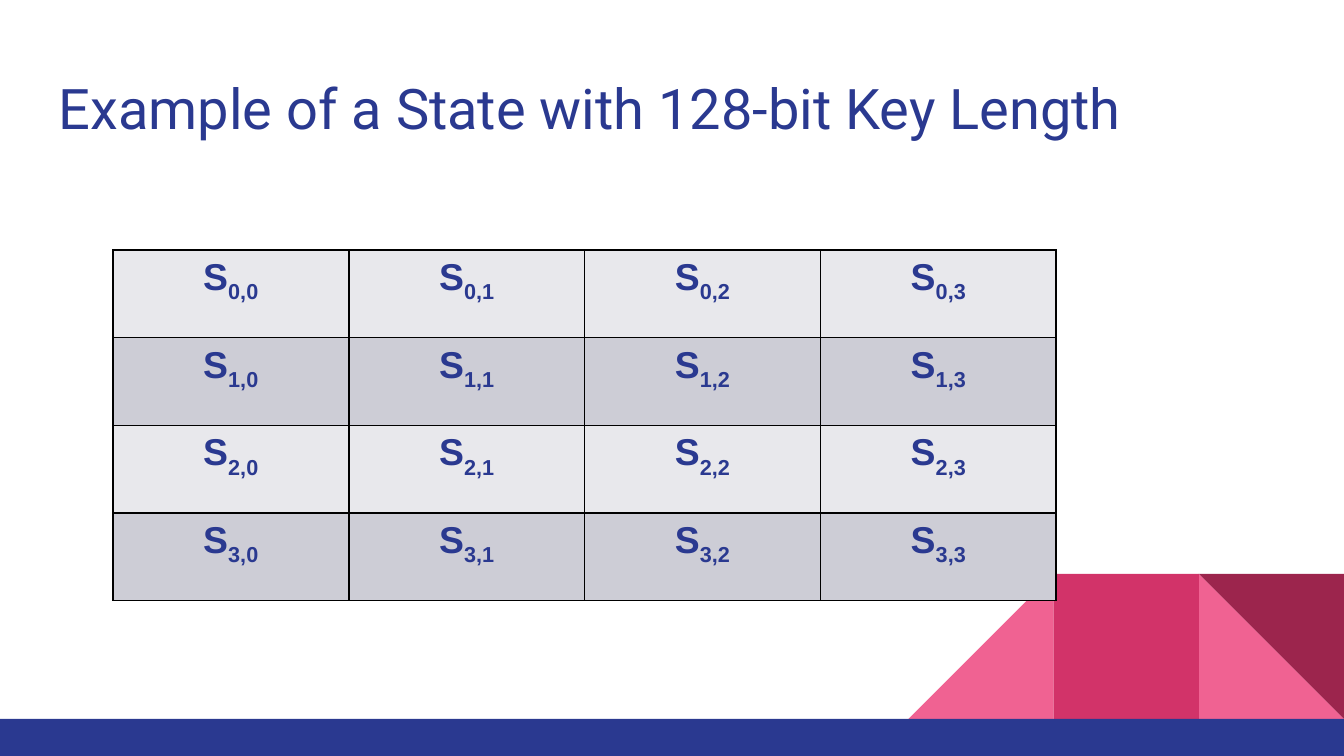
from dataclasses import dataclass

from lxml.etree import SubElement
from pptx import Presentation
from pptx.dml.color import RGBColor
from pptx.enum.shapes import MSO_SHAPE
from pptx.enum.text import PP_ALIGN
from pptx.oxml.ns import qn
from pptx.util import Inches, Pt


@dataclass(frozen=True)
class Theme:
    navy: str = "2A3990"
    pink: str = "F06292"
    rose: str = "D23369"
    wine: str = "9C254D"
    border: str = "000000"
    bands: tuple = ("E8E8EC", "CDCDD6")
    title_font: str = "Roboto"
    table_font: str = "Arial"
    title_size: int = 30
    table_size: int = 20


THEME = Theme()
WIDTH = Inches(10)
HEIGHT = WIDTH * 9 // 16
TILE = Inches(1.08)
GRID = 4


def add_block(s, kind, box, color, rotation=0, flip=False):
    sp = s.shapes.add_shape(kind, *box)
    sp.shadow.inherit = False
    sp.fill.solid()
    sp.fill.fore_color.rgb = RGBColor.from_string(color)
    sp.line.fill.background()
    sp.rotation = rotation
    if flip:
        sp._element.spPr.find(qn("a:xfrm")).set("flipH", "1")


def add_run(p, text, font, size, bold=False, baseline=0):
    r = p.add_run()
    r.text = text
    r.font.name = font
    r.font.size = Pt(size)
    r.font.bold = bold
    r.font.color.rgb = RGBColor.from_string(THEME.navy)
    if baseline:
        r.font._element.set("baseline", str(baseline * 1000))


def add_decoration(s):
    floor = int(HEIGHT * 0.951)
    tiles = [
        (1, MSO_SHAPE.RIGHT_TRIANGLE, THEME.pink, 0, False),
        (3, MSO_SHAPE.RIGHT_TRIANGLE, THEME.pink, 0, True),
        (2, MSO_SHAPE.RECTANGLE, THEME.rose, 0, False),
        (1, MSO_SHAPE.RIGHT_TRIANGLE, THEME.wine, 180, False),
    ]
    for column, kind, color, rotation, flip in tiles:
        box = (WIDTH - column * TILE, floor - TILE, TILE, TILE)
        add_block(s, kind, box, color, rotation, flip)
    add_block(s, MSO_SHAPE.RECTANGLE, (0, floor, WIDTH, HEIGHT - floor), THEME.navy)


def add_title(s, text):
    margin = int(WIDTH * 0.034)
    sp = s.shapes.add_textbox(margin, int(HEIGHT * 0.08), WIDTH - 2 * margin, Inches(0.66))
    tf = sp.text_frame
    tf.word_wrap = True
    tf.margin_left = tf.margin_right = tf.margin_top = tf.margin_bottom = Inches(0.1)
    add_run(tf.paragraphs[0], text, THEME.title_font, THEME.title_size)


def set_borders(cell):
    tc_pr = cell._tc.get_or_add_tcPr()
    for side in ("lnL", "lnR", "lnT", "lnB"):
        ln = SubElement(tc_pr, qn(f"a:{side}"), w=str(Pt(1)))
        fill = SubElement(ln, qn("a:solidFill"))
        SubElement(fill, qn("a:srgbClr"), val=THEME.border)


def fill_cell(cell, row, column):
    set_borders(cell)
    cell.fill.solid()
    cell.fill.fore_color.rgb = RGBColor.from_string(THEME.bands[row % 2])
    p = cell.text_frame.paragraphs[0]
    p.alignment = PP_ALIGN.CENTER
    add_run(p, "S", THEME.table_font, THEME.table_size, bold=True)
    add_run(p, f"{row},{column}", THEME.table_font, THEME.table_size, bold=True, baseline=-25)


def add_state_table(s):
    box = (Inches(0.84), Inches(1.86), Inches(7.02), Inches(2.61))
    table = s.shapes.add_table(GRID, GRID, *box).table
    for row in range(GRID):
        for column in range(GRID):
            fill_cell(table.cell(row, column), row, column)


def main():
    prs = Presentation()
    prs.slide_width, prs.slide_height = WIDTH, HEIGHT
    s = prs.slides.add_slide(prs.slide_layouts[6])
    add_decoration(s)
    add_title(s, "Example of a State with 128-bit Key Length")
    add_state_table(s)
    prs.save("out.pptx")


if __name__ == "__main__":
    main()
